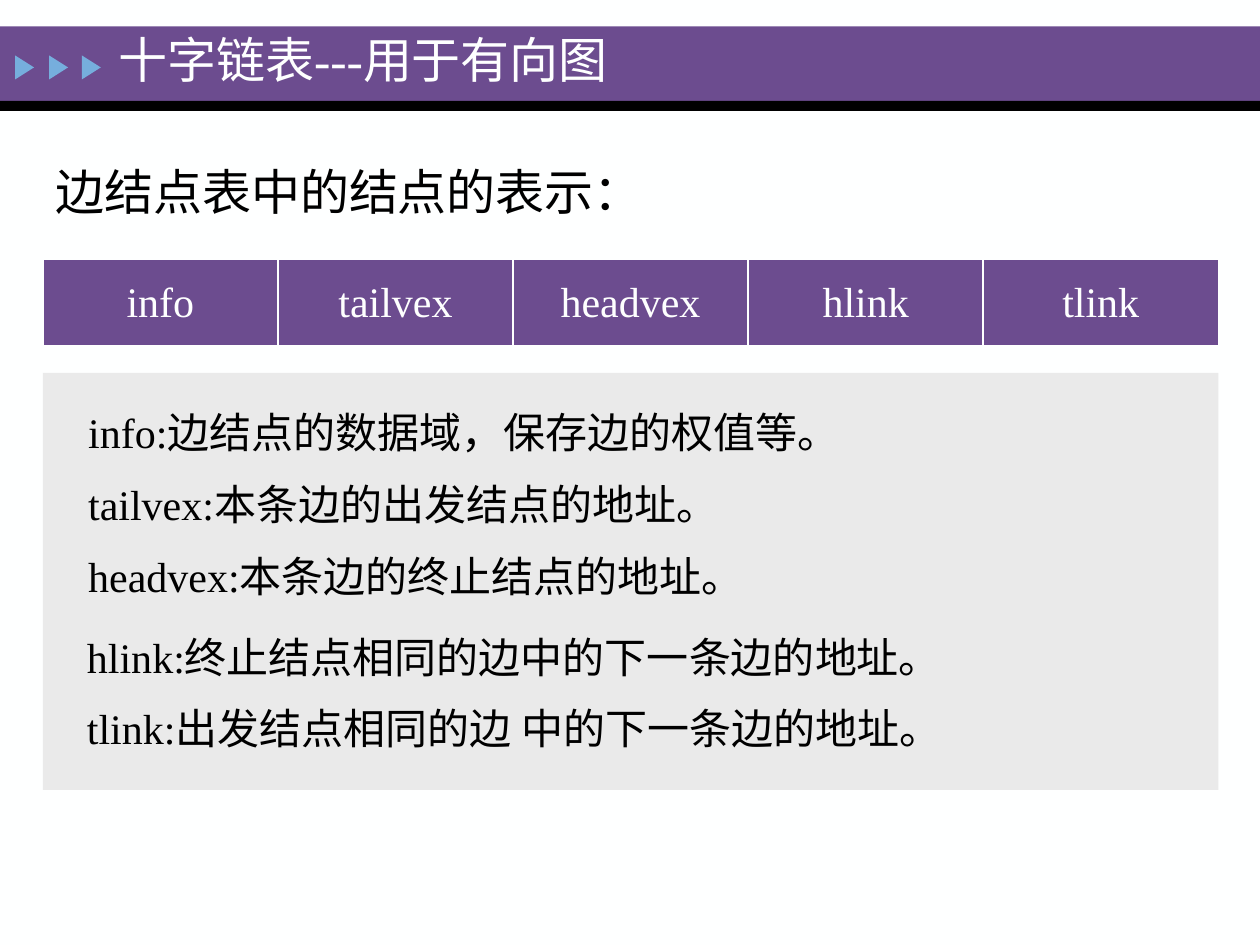
from dataclasses import dataclass

from lxml.etree import SubElement
from pptx import Presentation
from pptx.dml.color import RGBColor
from pptx.enum.shapes import MSO_SHAPE as Shape
from pptx.enum.text import MSO_ANCHOR as Anchor, MSO_AUTO_SIZE as AutoSize, PP_ALIGN as Align
from pptx.oxml.ns import qn
from pptx.util import Inches, Pt

COLORS = {"purple": "6C4C8F", "black": "000000", "blue": "76AEDD",
          "panel": "EAEAEA", "white": "FEFFFF"}
FONT = "Times New Roman"
LEFT, WIDTH = 0.34, 9.33


@dataclass
class Block:
    box: tuple[float, float, float, float]
    lines: list[str]
    size: int = 24
    color: str = "black"
    anchor: Anchor = Anchor.TOP
    tab: float = 0


@dataclass
class Figure:
    kind: Shape
    box: tuple[float, float, float, float]
    color: str
    rotation: int = 0


def rgb(name: str) -> RGBColor:
    return RGBColor.from_string(COLORS[name])


def place(sp, box: tuple) -> None:
    for name, value in zip(("left", "top", "width", "height"), box):
        setattr(sp, name, Inches(value))


def style_font(font, size: int, color: str) -> None:
    for name, value in {"name": FONT, "size": Pt(size), "bold": False}.items():
        setattr(font, name, value)
    font.color.rgb = rgb(color)


def draw_figure(s, fig: Figure) -> None:
    sp = s.shapes.add_shape(fig.kind, *map(Inches, fig.box))
    sp.rotation = fig.rotation
    sp.shadow.inherit = False
    sp.fill.solid()
    sp.fill.fore_color.rgb = rgb(fig.color)
    sp.line.fill.background()


def fill_placeholder(s, sp, block: Block) -> None:
    place(sp, block.box)
    s.shapes._spTree.append(sp._element)  # in front of the panel
    tf = sp.text_frame
    settings = {"word_wrap": True, "auto_size": AutoSize.NONE,
                "vertical_anchor": block.anchor}
    for name, value in settings.items():
        setattr(tf, name, value)
    for i, line in enumerate(block.lines):
        p = tf.add_paragraph() if i else tf.paragraphs[0]
        p.alignment = Align.LEFT
        p.space_before = Pt(block.size / 2 if i else 0)
        pPr = p._p.get_or_add_pPr()
        pPr.set("marL", "0")
        pPr.set("indent", "0")
        SubElement(pPr, qn("a:buNone"))
        if block.tab:
            tabs = SubElement(pPr, qn("a:tabLst"))
            SubElement(tabs, qn("a:tab"), pos=str(Inches(block.tab)), algn="l")
        r = p.add_run()
        r.text = line
        style_font(r.font, block.size, block.color)


def set_borders(cell) -> None:
    tcPr = cell._tc.get_or_add_tcPr()
    sides = {"a:lnL": 1, "a:lnR": 1, "a:lnT": 1, "a:lnB": 3}
    for i, (tag, width) in enumerate(sides.items()):
        ln = SubElement(tcPr, qn(tag), w=str(Pt(width)))
        fill = SubElement(ln, qn("a:solidFill"))
        SubElement(fill, qn("a:srgbClr"), val=COLORS["white"])
        tcPr.insert(i, ln)  # borders come before the fill


def draw_fields(s, fields: list[str]) -> None:
    box = map(Inches, (LEFT, 2.06, WIDTH, 0.7))
    table = s.shapes.add_table(1, len(fields), *box).table
    for cell, field in zip(table.rows[0].cells, fields):
        cell.fill.solid()
        cell.fill.fore_color.rgb = rgb("purple")
        cell.vertical_anchor = Anchor.MIDDLE
        p = cell.text_frame.paragraphs[0]
        p.alignment = Align.CENTER
        r = p.add_run()
        r.text = field
        style_font(r.font, 24, "white")
        set_borders(cell)


# Header band, arrows and grey panel
FIGURES = [
    Figure(Shape.RECTANGLE, (0, 0.21, 10, 0.59), "purple"),
    Figure(Shape.RECTANGLE, (0, 0.8, 10, 0.08), "black"),
    *(Figure(Shape.ISOSCELES_TRIANGLE, (x, 0.46, 0.19, 0.15), "blue", 90)
      for x in (0.1, 0.37, 0.63)),
    Figure(Shape.RECTANGLE, (LEFT, 2.96, WIDTH, 3.31), "panel"),
]

# Title, heading and field descriptions, in placeholder order
BLOCKS = [
    Block((0.84, 0.19, 5.43, 0.56), ["十字链表---用于有向图"], 28, "white", Anchor.MIDDLE),
    Block((LEFT, 1.23, 5.8, 0.57), ["边结点表中的结点的表示："], 28),
    Block((0.6, 3.18, 6.31, 0.51), ["info:边结点的数据域，保存边的权值等。"]),
    Block((0.6, 3.75, 6.16, 1.11),
          ["tailvex:\t本条边的出发结点的地址。", "headvex:本条边的终止结点的地址。"], tab=1.33),
    Block((0.59, 4.96, 7.24, 1.11),
          ["hlink:终止结点相同的边中的下一条边的地址。",
           "tlink:出发结点相同的边 中的下一条边的地址。"]),
]


def main() -> None:
    prs = Presentation()
    prs.slide_width, prs.slide_height = Inches(10), Inches(7.5)
    s = prs.slides.add_slide(prs.slide_layouts.get_by_name("Comparison"))
    s.background.fill.solid()
    s.background.fill.fore_color.rgb = rgb("white")
    for fig in FIGURES:
        draw_figure(s, fig)
    for sp, block in zip(list(s.placeholders), BLOCKS):
        fill_placeholder(s, sp, block)
    draw_fields(s, ["info", "tailvex", "headvex", "hlink", "tlink"])
    prs.save("out.pptx")


if __name__ == "__main__":
    main()
